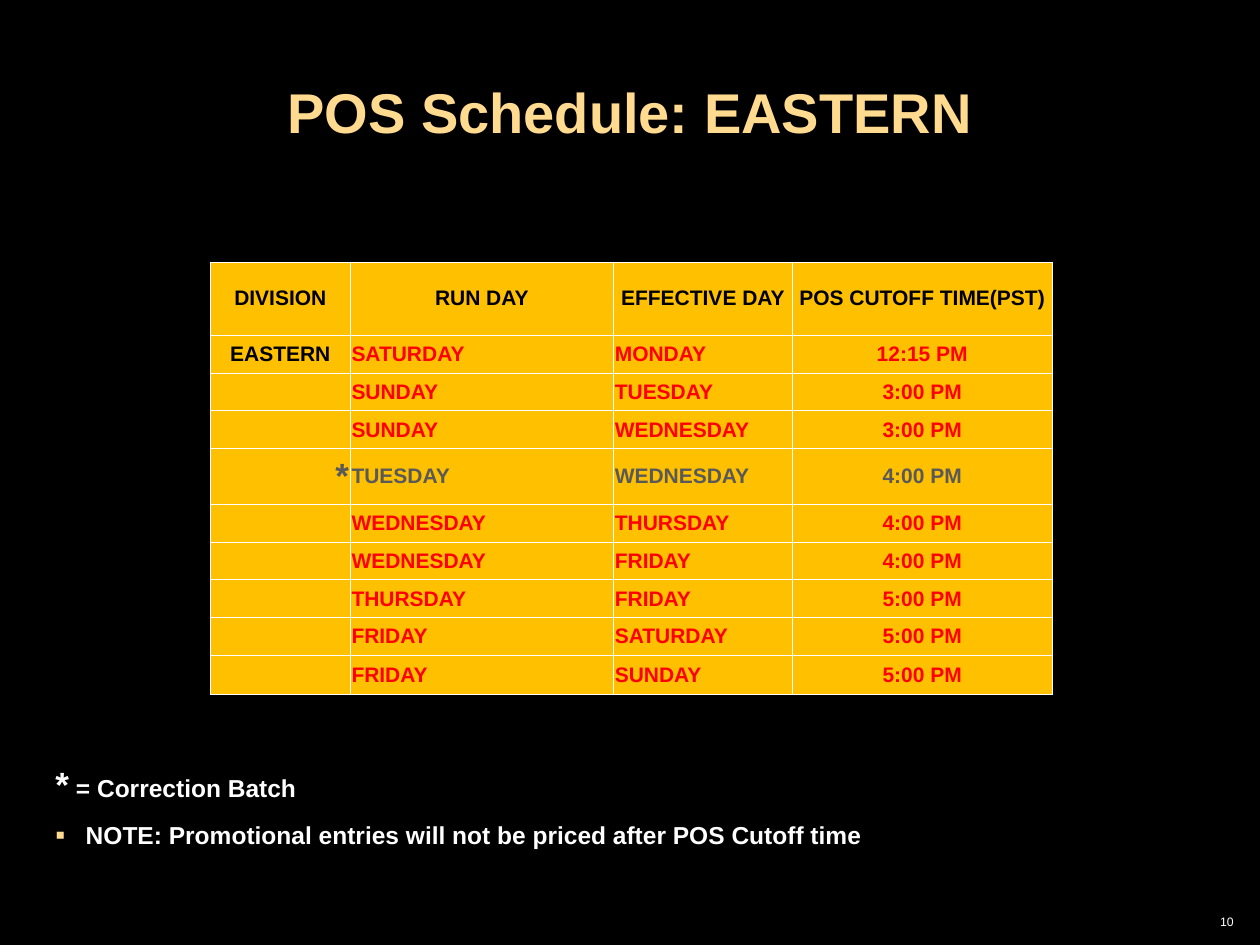
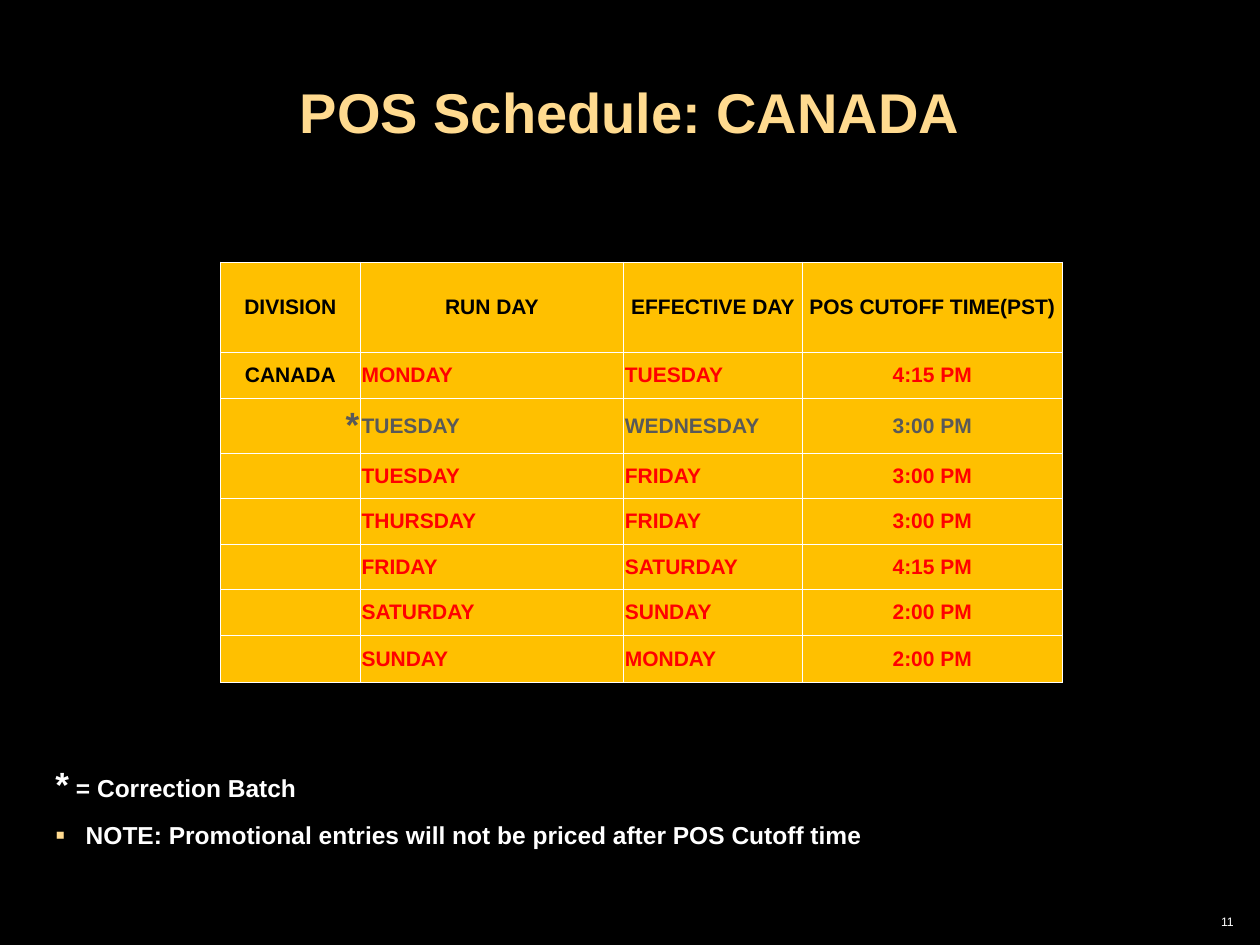
import dataclasses
import typing

import lxml.etree
import pptx
import pptx.dml.color
import pptx.enum.text
import pptx.oxml
import pptx.oxml.ns
import pptx.util
from pptx.util import Inches

BLACK = pptx.dml.color.RGBColor(0x00, 0x00, 0x00)
WHITE = pptx.dml.color.RGBColor(0xFF, 0xFF, 0xFF)
CREAM = pptx.dml.color.RGBColor(0xFF, 0xDA, 0x8F)
AMBER = pptx.dml.color.RGBColor(0xFF, 0xC0, 0x00)
RED = pptx.dml.color.RGBColor(0xFF, 0x00, 0x00)
GRAY = pptx.dml.color.RGBColor(0x59, 0x59, 0x59)

FONT = "Arial"
LEFT = pptx.enum.text.PP_ALIGN.LEFT
CENTER = pptx.enum.text.PP_ALIGN.CENTER
RIGHT = pptx.enum.text.PP_ALIGN.RIGHT

HEADERS = ("DIVISION", "RUN DAY", "EFFECTIVE DAY", "POS CUTOFF TIME(PST)")
COLUMN_WIDTHS = (1.11, 2.09, 1.42, 2.06)
COLUMN_ALIGNMENTS = (CENTER, LEFT, LEFT, CENTER)
CORRECTION_MARK = "*"
CORRECTION_HEIGHT = 0.44
CELL_SIZE = 12
MARK_SIZE = 20
NOTE_SIZE = 14
BORDER_POINTS = 0.45


@dataclasses.dataclass(frozen=True)
class Batch:
    run_day: str
    effective_day: str
    cutoff: str
    correction: bool = False


@dataclasses.dataclass(frozen=True)
class Schedule:
    division: str
    number: int
    left: float
    header_height: float
    row_height: float
    last_height: float
    batches: tuple[Batch, ...]


SCHEDULES = (
    Schedule("EASTERN", 10, 1.67, 0.58, 0.3, 0.31, (
        Batch("SATURDAY", "MONDAY", "12:15 PM"),
        Batch("SUNDAY", "TUESDAY", "3:00 PM"),
        Batch("SUNDAY", "WEDNESDAY", "3:00 PM"),
        Batch("TUESDAY", "WEDNESDAY", "4:00 PM", correction=True),
        Batch("WEDNESDAY", "THURSDAY", "4:00 PM"),
        Batch("WEDNESDAY", "FRIDAY", "4:00 PM"),
        Batch("THURSDAY", "FRIDAY", "5:00 PM"),
        Batch("FRIDAY", "SATURDAY", "5:00 PM"),
        Batch("FRIDAY", "SUNDAY", "5:00 PM"),
    )),
    Schedule("CANADA", 11, 1.75, 0.72, 0.36, 0.38, (
        Batch("MONDAY", "TUESDAY", "4:15 PM"),
        Batch("TUESDAY", "WEDNESDAY", "3:00 PM", correction=True),
        Batch("TUESDAY", "FRIDAY", "3:00 PM"),
        Batch("THURSDAY", "FRIDAY", "3:00 PM"),
        Batch("FRIDAY", "SATURDAY", "4:15 PM"),
        Batch("SATURDAY", "SUNDAY", "2:00 PM"),
        Batch("SUNDAY", "MONDAY", "2:00 PM"),
    )),
)


def add_element(parent: typing.Any, tag: str, **attributes: str) -> typing.Any:
    element = lxml.etree.SubElement(parent, pptx.oxml.ns.qn(tag))
    for name, value in attributes.items():
        element.set(name, value)
    return element


def format_span(span: typing.Any, size: float, color: pptx.dml.color.RGBColor,
                bold: bool = True) -> None:
    span.font.name = FONT
    span.font.size = pptx.util.Pt(size)
    span.font.bold = bold
    span.font.color.rgb = color


def place(box: typing.Any, left: float, top: float, width: float, height: float) -> None:
    box.left, box.top = Inches(left), Inches(top)
    box.width, box.height = Inches(width), Inches(height)


def add_title(page: typing.Any, division: str) -> None:
    box = page.shapes.title
    place(box, 0.13, 0.63, 9.74, 0.58)
    frame = box.text_frame
    frame.text = f"POS Schedule: {division}"
    frame.vertical_anchor = pptx.enum.text.MSO_ANCHOR.BOTTOM
    frame.auto_size = pptx.enum.text.MSO_AUTO_SIZE.SHAPE_TO_FIT_TEXT
    para = frame.paragraphs[0]
    para.alignment = CENTER
    para.line_spacing = 0.9
    format_span(para.runs[0], 32, CREAM)


def add_notes_list(page: typing.Any) -> None:
    box = page.placeholders[1]
    place(box, 0.34, 6, 9.31, 0.83)
    frame = box.text_frame
    frame.auto_size = pptx.enum.text.MSO_AUTO_SIZE.NONE

    legend = frame.paragraphs[0]
    properties = legend._p.get_or_add_pPr()
    properties.set("marL", "0")
    properties.set("indent", "0")
    add_element(properties, "a:buNone")
    legend.space_before = pptx.util.Pt(0)
    for text, size in ((CORRECTION_MARK, MARK_SIZE), (" = Correction Batch", NOTE_SIZE)):
        span = legend.add_run()
        span.text = text
        format_span(span, size, WHITE)

    note = frame.add_paragraph()
    note.text = "NOTE: Promotional entries will not be priced after POS Cutoff time"
    properties = note._p.get_or_add_pPr()
    properties.set("marL", str(Inches(0.24)))
    properties.set("indent", str(-Inches(0.24)))
    bullet_color = add_element(properties, "a:buClr")
    add_element(bullet_color, "a:srgbClr", val=str(CREAM))
    add_element(properties, "a:buSzPct", val="115000")
    add_element(properties, "a:buFont", typeface=FONT)
    add_element(properties, "a:buChar", char="▪")
    note.space_before = pptx.util.Pt(8.8)
    format_span(note.runs[0], NOTE_SIZE, WHITE)


def fill_cell(cell: typing.Any, text: str, color: pptx.dml.color.RGBColor,
              alignment: typing.Any, size: float = CELL_SIZE) -> None:
    properties = cell._tc.get_or_add_tcPr()
    for side in ("a:lnL", "a:lnR", "a:lnT", "a:lnB"):
        border = add_element(properties, side, w=str(pptx.util.Pt(BORDER_POINTS)))
        add_element(add_element(border, "a:solidFill"), "a:srgbClr", val=str(WHITE))
    cell.fill.solid()
    cell.fill.fore_color.rgb = AMBER
    cell.vertical_anchor = pptx.enum.text.MSO_ANCHOR.MIDDLE
    cell.margin_left = cell.margin_right = Inches(0.01)
    cell.margin_top = cell.margin_bottom = Inches(0.05)
    para = cell.text_frame.paragraphs[0]
    para.alignment = alignment
    if text:
        para.text = text
        format_span(para.runs[0], size, color)
    else:
        add_element(para._p, "a:endParaRPr", sz=str(size * 100))


def add_schedule_table(page: typing.Any, schedule: Schedule) -> None:
    heights = [schedule.header_height]
    heights += [CORRECTION_HEIGHT if batch.correction else schedule.row_height
                for batch in schedule.batches]
    heights[-1] = schedule.last_height
    table = page.shapes.add_table(
        len(heights), len(HEADERS), Inches(schedule.left), Inches(2.08),
        Inches(sum(COLUMN_WIDTHS)), Inches(sum(heights))).table
    table.first_row = False
    table.horz_banding = False
    for column, width in zip(table.columns, COLUMN_WIDTHS):
        column.width = Inches(width)
    for row, height in zip(table.rows, heights):
        row.height = Inches(height)

    for index, header in enumerate(HEADERS):
        fill_cell(table.cell(0, index), header, BLACK, CENTER)
    for number, batch in enumerate(schedule.batches, start=1):
        division_cell = table.cell(number, 0)
        if batch.correction:
            fill_cell(division_cell, CORRECTION_MARK, GRAY, RIGHT, MARK_SIZE)
        else:
            fill_cell(division_cell, schedule.division if number == 1 else "", BLACK, CENTER)
        color = GRAY if batch.correction else RED
        values = (batch.run_day, batch.effective_day, batch.cutoff)
        for index, value in enumerate(values, start=1):
            fill_cell(table.cell(number, index), value, color, COLUMN_ALIGNMENTS[index])


def add_page_number(page: typing.Any, number: int) -> None:
    box = page.shapes.add_textbox(Inches(7.81), Inches(7.21), Inches(2.08), Inches(0.29))
    box.text_frame.word_wrap = True
    box.text_frame.text = str(number)
    para = box.text_frame.paragraphs[0]
    para.alignment = RIGHT
    format_span(para.runs[0], 7, WHITE, bold=False)


def main() -> None:
    deck = pptx.Presentation()
    deck.slide_width, deck.slide_height = Inches(10), Inches(7.5)
    background = deck.slide_master.background.fill
    background.solid()
    background.fore_color.rgb = BLACK
    for schedule in SCHEDULES:
        page = deck.slides.add_slide(deck.slide_layouts[1])
        add_page_number(page, schedule.number)
        add_title(page, schedule.division)
        add_schedule_table(page, schedule)
        add_notes_list(page)
    deck.save("out.pptx")


if __name__ == "__main__":
    main()
